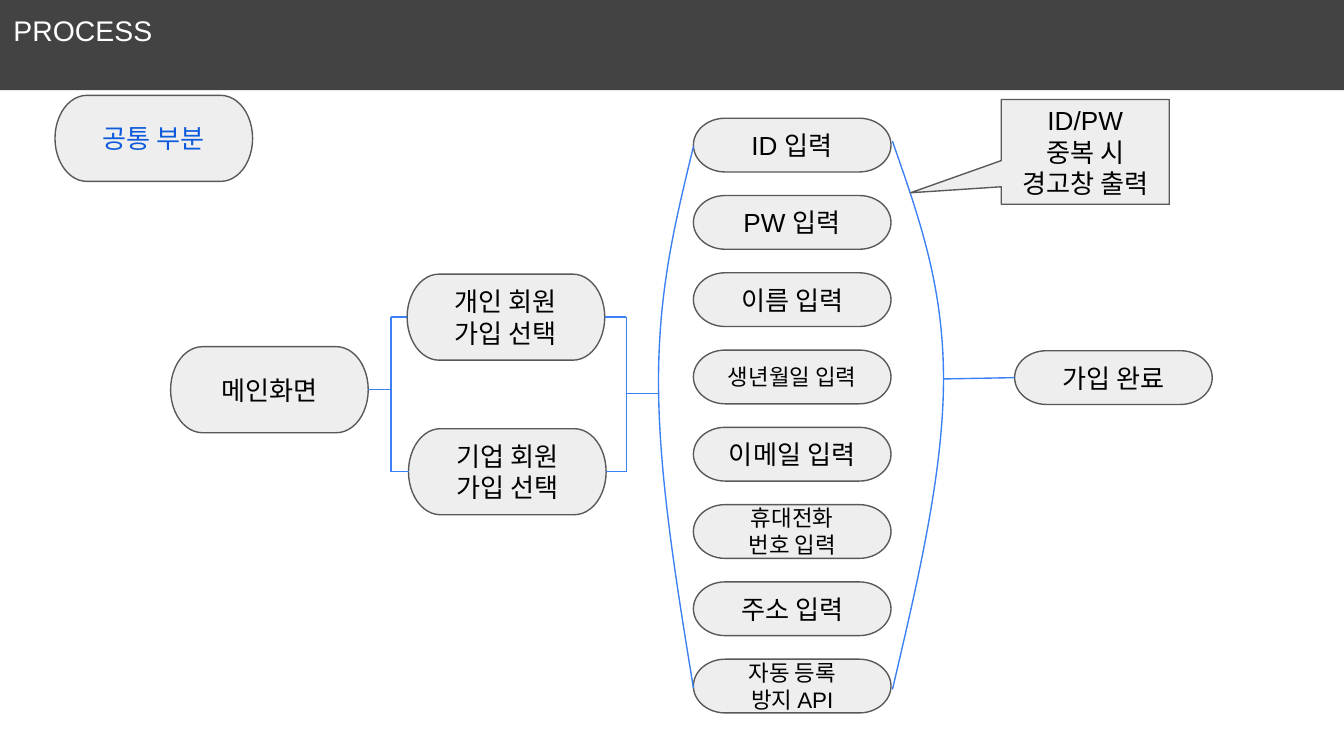
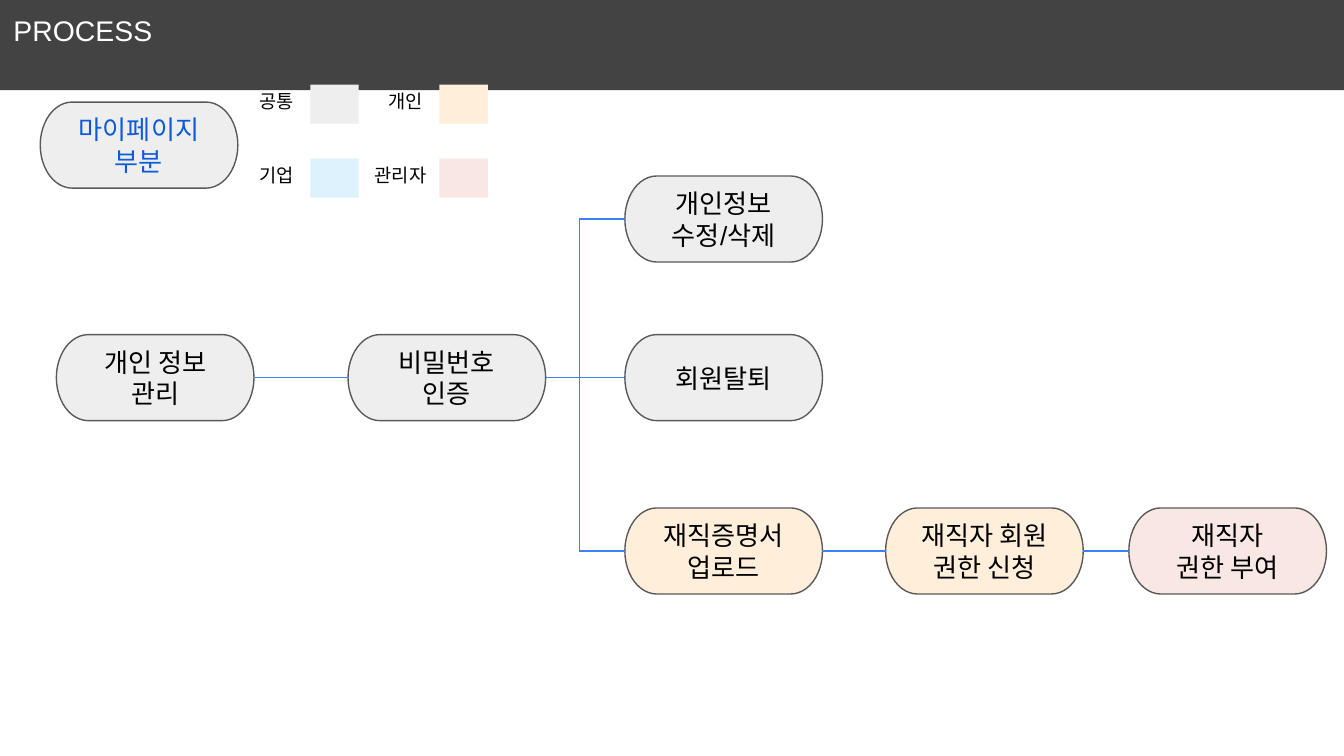
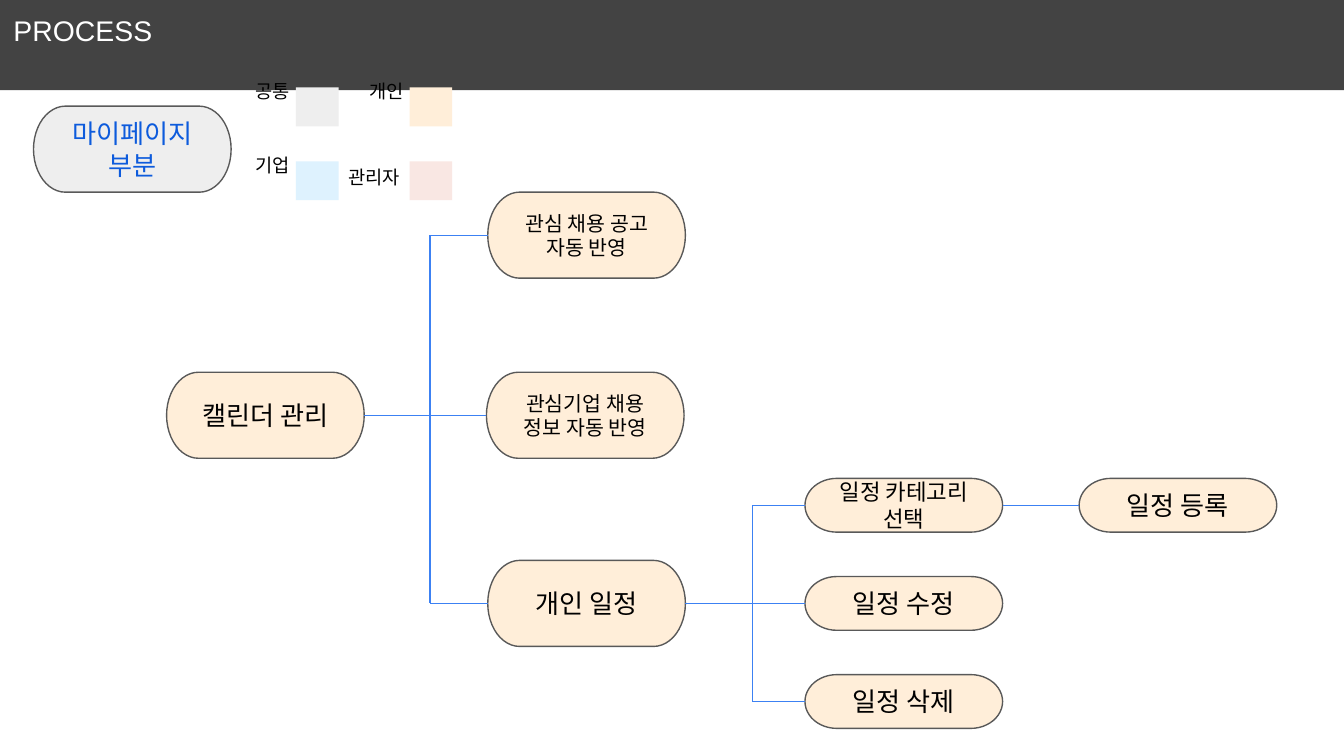
from itertools import product

from lxml.etree import SubElement
from pptx import Presentation
from pptx.dml.color import RGBColor
from pptx.enum.shapes import MSO_CONNECTOR, MSO_SHAPE
from pptx.enum.text import MSO_ANCHOR, MSO_AUTO_SIZE, PP_ALIGN
from pptx.oxml.ns import qn
from pptx.util import Inches, Pt

FONT = "Arial"
BAND = RGBColor(0x43, 0x43, 0x43)
WHITE = RGBColor(0xFF, 0xFF, 0xFF)
BLACK = RGBColor(0x00, 0x00, 0x00)
HEADING = RGBColor(0x0D, 0x5B, 0xDC)
OUTLINE = RGBColor(0x59, 0x59, 0x59)
FLOW = RGBColor(0x3C, 0x81, 0xF3)
COMMON = RGBColor(0xEE, 0xEE, 0xEE)
PERSONAL = RGBColor(0xFF, 0xEE, 0xD9)
COMPANY = RGBColor(0xDE, 0xF2, 0xFE)
ADMIN = RGBColor(0xF9, 0xE7, 0xE3)

LEFT, RIGHT = 1, 3
COLUMNS, ROWS = 100, 56.25
STEP_WIDTH, TALL, SHORT = 14.7, 6.4, 4


def cells(count):
    """Return the length of a number of square grid cells."""
    return Inches(count / 10)


def write(frame, text, size, color, align=PP_ALIGN.CENTER):
    """Fill a text frame with evenly formatted paragraphs."""
    frame.word_wrap = True
    frame.text = text
    for paragraph in frame.paragraphs:
        paragraph.alignment = align
        paragraph.font.name = FONT
        paragraph.font.size = Pt(size)
        paragraph.font.color.rgb = color


def set_insets(frame, left, top, right, bottom):
    """Set the four insets of a text frame in cells."""
    frame.margin_left, frame.margin_top = cells(left), cells(top)
    frame.margin_right, frame.margin_bottom = cells(right), cells(bottom)


def add_process_slide(deck):
    """Add a slide with the dark title band."""
    slide = deck.slides.add_slide(deck.slide_layouts[5])
    title = slide.shapes.title
    title.left, title.top = 0, 0
    title.width, title.height = cells(COLUMNS), cells(6.7)
    title.fill.solid()
    title.fill.fore_color.rgb = BAND
    frame = title.text_frame
    write(frame, "PROCESS", 15.2, WHITE, PP_ALIGN.LEFT)
    frame.auto_size = MSO_AUTO_SIZE.NONE
    frame.vertical_anchor = MSO_ANCHOR.TOP
    set_insets(frame, 1, 1, 1, 1)
    return slide


def add_panel(shapes, kind, col, row, width, height, fill):
    """Add a flat preset shape without an outline."""
    panel = shapes.add_shape(kind, cells(col), cells(row), cells(width), cells(height))
    panel.shadow.inherit = False
    panel.fill.solid()
    panel.fill.fore_color.rgb = fill
    panel.line.fill.background()
    return panel


def add_step(slide, text, col, row, height=TALL, fill=COMMON, size=14, color=BLACK,
             kind=MSO_SHAPE.FLOWCHART_TERMINATOR, width=STEP_WIDTH):
    """Add an outlined process step with centred text."""
    step = add_panel(slide.shapes, kind, col, row, width, height, fill)
    step.line.color.rgb = OUTLINE
    step.line.width = Pt(0.75)
    write(step.text_frame, text, size, color)
    step.text_frame.vertical_anchor = MSO_ANCHOR.MIDDLE
    set_insets(step.text_frame, 1, 1, 1, 1)
    return step


def middle(step):
    """Return the vertical middle of a step."""
    return step.top + step.height // 2


def link(slide, start, end):
    """Draw a flow line between points or (step, side) pairs."""
    line = slide.shapes.add_connector(MSO_CONNECTOR.STRAIGHT, 0, 0, 0, 0)
    if isinstance(start[0], int):
        line.begin_x, line.begin_y = start
    else:
        line.begin_connect(*start)
    if isinstance(end[0], int):
        line.end_x, line.end_y = end
    else:
        line.end_connect(*end)
    line.line.color.rgb = FLOW
    line.line.width = Pt(0.75)
    SubElement(line.element.spPr, qn("a:effectLst"))


def fork(slide, steps, side, spine_col):
    """Join one side of several steps to a vertical spine."""
    spine = cells(spine_col)
    link(slide, (spine, middle(steps[0])), (spine, middle(steps[-1])))
    for step in steps:
        link(slide, (step, side), (spine, middle(step)))


def branch(slide, parent, steps, spine_col):
    """Lead from a parent step through a spine to its branches."""
    fork(slide, steps, LEFT, spine_col)
    link(slide, (parent, RIGHT), (cells(spine_col), middle(parent)))


def add_brace(slide, edge, bulge, rows):
    """Draw an open arc of two cubic curves through three rows."""
    top, center, bottom = rows
    between = (edge + bulge) / 2
    upper, lower = (center - top) / 2, (bottom - center) / 2
    points = [(between, top + 0.8 * upper), (bulge, top + 1.2 * upper * 0.5 + upper * 0.6),
              (bulge, center), (bulge, center + 0.6 * lower),
              (between, center + 1.3 * lower), (edge, bottom)]
    points[0] = (between, top + 0.62 * upper)
    builder = slide.shapes.build_freeform(cells(edge), cells(top))
    builder.add_line_segments([(cells(x), cells(y)) for x, y in points], close=False)
    brace = builder.convert_to_shape()
    outline = brace.element.find(".//" + qn("a:path"))
    corners = outline.findall(qn("a:lnTo"))
    for first in (0, 3):
        curve = SubElement(outline, qn("a:cubicBezTo"))
        for corner in corners[first:first + 3]:
            curve.append(corner[0])
            outline.remove(corner)
    brace.shadow.inherit = False
    brace.fill.background()
    brace.line.color.rgb = FLOW
    brace.line.width = Pt(0.75)


def add_legend(slide, left, top, stretch=1, lift=0):
    """Add the grouped two-by-two colour legend."""
    group = slide.shapes.add_group_shape()
    entries = [("공통", COMMON), ("개인", PERSONAL), ("기업", COMPANY), ("관리자", ADMIN)]
    for (name, fill), (row, col) in zip(entries, product(range(2), repeat=2)):
        wide = len(name) > 2
        start, level = left + 9.6 * col * stretch, top + 5.5 * row
        shift, width = (1.2, 7.3) if wide else (0, 5.7)
        label = group.shapes.add_textbox(cells(start - shift * stretch), cells(level),
                                         cells(width * stretch), cells(4.4))
        write(label.text_frame, name, 10, BLACK)
        label.text_frame.vertical_anchor = MSO_ANCHOR.MIDDLE
        raised = lift and not wide
        set_insets(label.text_frame, 0.4, 0, 0.4 if raised else 1.5, lift if raised else 0)
        add_panel(group.shapes, MSO_SHAPE.RECTANGLE, start + 4.8 * stretch, level + 1,
                  3.6 * stretch, 2.9, fill)


def build_sign_up(deck):
    """Build the shared sign-up flow."""
    slide = add_process_slide(deck)
    add_step(slide, "공통 부분", 4.1, 7.1, color=HEADING)
    main_screen = add_step(slide, "메인화면", 12.7, 25.8)
    members = [add_step(slide, "개인 회원 가입 선택", 30.3, 20.4),
               add_step(slide, "기업 회원 가입 선택", 30.4, 31.9)]
    entries = [("ID 입력", 14), ("PW 입력", 14), ("이름 입력", 14), ("생년월일 입력", 12),
               ("이메일 입력", 14), ("휴대전화\n번호 입력", 12), ("주소 입력", 14),
               ("자동 등록\n방지 API", 12)]
    for index, (text, size) in enumerate(entries):
        add_step(slide, text, 51.6, 8.8 + 5.75 * index, SHORT, size=size)
    done = add_step(slide, "가입 완료", 75.5, 26.1, SHORT)
    branch(slide, main_screen, members, 29.1)
    fork(slide, members, RIGHT, 46.6)
    link(slide, (cells(46.6), cells(29.3)), (cells(49), cells(29.3)))
    add_brace(slide, 51.6, 49, (10.9, 28.4, 51.2))
    add_brace(slide, 66.4, 70.2, (10.5, 28.2, 51.3))
    link(slide, (cells(70.2), cells(28.2)), (done, LEFT))
    warning = add_step(slide, "ID/PW\n중복 시 경고창 출력", 74.5, 7.4, 7.8,
                       kind=MSO_SHAPE.RECTANGULAR_CALLOUT, width=12.5)
    warning.adjustments[0], warning.adjustments[1] = -1.04, 0.39


def build_account(deck):
    """Build the personal information flow."""
    slide = add_process_slide(deck)
    add_step(slide, "마이페이지 부분", 3, 7.6, color=HEADING)
    manage = add_step(slide, "개인 정보\n관리", 4.2, 24.9)
    password = add_step(slide, "비밀번호\n인증", 25.9, 24.9)
    upload = add_step(slide, "재직증명서 업로드", 46.5, 37.8, fill=PERSONAL)
    choices = [add_step(slide, "개인정보\n수정/삭제", 46.5, 13.1),
               add_step(slide, "회원탈퇴", 46.5, 24.9), upload]
    request = add_step(slide, "재직자 회원 권한 신청", 65.9, 37.8, fill=PERSONAL)
    grant = add_step(slide, "재직자\n권한 부여", 84, 37.8, fill=ADMIN)
    branch(slide, password, choices, 43.1)
    for before, after in [(manage, password), (upload, request), (request, grant)]:
        link(slide, (before, RIGHT), (after, LEFT))
    add_legend(slide, 18.3, 5.3)


def build_calendar(deck):
    """Build the calendar flow."""
    slide = add_process_slide(deck)
    add_step(slide, "마이페이지 부분", 2.5, 7.9, color=HEADING)
    calendar = add_step(slide, "캘린더 관리", 12.4, 27.7, fill=PERSONAL)
    schedule = add_step(slide, "개인 일정", 36.3, 41.7, fill=PERSONAL)
    sources = [add_step(slide, "관심 채용 공고 자동 반영", 36.3, 14.3, fill=PERSONAL, size=11),
               add_step(slide, "관심기업 채용 정보 자동 반영", 36.2, 27.7, fill=PERSONAL, size=11),
               schedule]
    actions = [add_step(slide, text, 59.9, 35.6 + 7.3 * index, SHORT, PERSONAL, size)
               for index, (text, size) in enumerate(
                   [("일정 카테고리 선택", 12), ("일정 수정", 14), ("일정 삭제", 14)])]
    register = add_step(slide, "일정 등록", 80.3, 35.6, SHORT, PERSONAL)
    branch(slide, calendar, sources, 32)
    branch(slide, schedule, actions, 56)
    link(slide, (actions[0], RIGHT), (register, LEFT))
    add_legend(slide, 17.8, 5.5, stretch=0.88, lift=1.8)


def main():
    """Build and save the three process slides."""
    deck = Presentation()
    deck.slide_width, deck.slide_height = cells(COLUMNS), cells(ROWS)
    build_sign_up(deck)
    build_account(deck)
    build_calendar(deck)
    deck.save("out.pptx")


if __name__ == "__main__":
    main()
